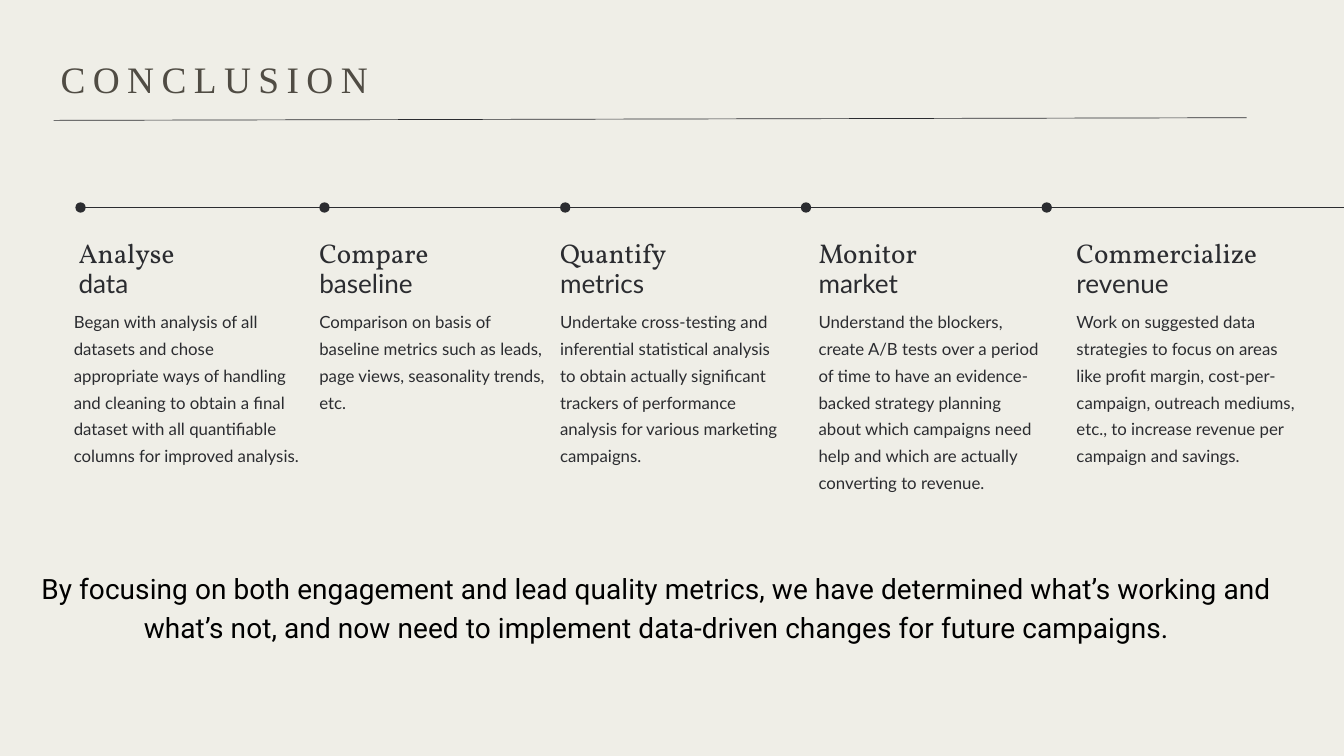
import pptx
import pptx.dml.color
import pptx.enum.shapes
import pptx.enum.text
import pptx.util
from lxml import etree

Cm, Pt = pptx.util.Cm, pptx.util.Pt
INK = "2B2C30"
SLIDE_WIDTH, SLIDE_HEIGHT = 50.8, 28.58
DOT_SIZE = 0.39

# Dot, heading and body lefts (cm), heading, subheading, body, body height (cm)
STEPS = [
    (2.85, 2.97, 2.79, "Analyse", "data",
     "Began with analysis of all datasets and chose appropriate ways of handling and "
     "cleaning to obtain a final dataset with all quantifiable columns for improved analysis.", 7.11),
    (12.07, 12.07, 12.07, "Compare", "baseline",
     "Comparison on basis of baseline metrics such as leads, page views, "
     "seasonality trends, etc.", 5.97),
    (21.17, 21.17, 21.17, "Quantify", "metrics",
     "Undertake cross-testing and inferential statistical analysis to obtain actually "
     "significant trackers of performance analysis for various marketing campaigns.", 6.96),
    (30.27, 30.94, 30.94, "Monitor", "market",
     "Understand the blockers, create A/B tests over a period of time to have an "
     "evidence-backed strategy planning about which campaigns need help and which are "
     "actually converting to revenue.", 7.98),
    (39.37, 40.69, 40.69, "Commercialize", "revenue",
     "Work on suggested data strategies to focus on areas like profit margin, "
     "cost-per-campaign, outreach mediums, etc., to increase revenue per campaign "
     "and savings.", 6.96),
]


def color(hex_string):
    return pptx.dml.color.RGBColor.from_string(hex_string)


def write(shape, text, font, size, leading, ink=INK, spacing=0,
          align=pptx.enum.text.PP_ALIGN.LEFT):
    frame = shape.text_frame
    frame.text = text
    frame.word_wrap = True
    frame.auto_size = pptx.enum.text.MSO_AUTO_SIZE.SHAPE_TO_FIT_TEXT
    frame.vertical_anchor = pptx.enum.text.MSO_ANCHOR.TOP
    frame.margin_left = frame.margin_top = frame.margin_right = frame.margin_bottom = 0
    paragraph = frame.paragraphs[0]
    paragraph.alignment = align
    paragraph.line_spacing = Pt(leading)
    paragraph.space_before = Pt(0)
    run = paragraph.runs[0]
    run.font.name = font
    run.font.size = Pt(size)
    run.font.color.rgb = color(ink)
    if spacing:
        run.font._element.set("spc", str(round(spacing * 100)))


def add_text(slide, box, *args, **kwargs):
    textbox = slide.shapes.add_textbox(*[Cm(length) for length in box])
    write(textbox, *args, **kwargs)


def add_line(slide, x1, y1, x2, y2):
    line = slide.shapes.add_connector(
        pptx.enum.shapes.MSO_CONNECTOR.STRAIGHT, Cm(x1), Cm(y1), Cm(x2), Cm(y2))
    line.line.color.rgb = color(INK)
    line.line.width = Pt(0.75)
    etree.SubElement(line._element.spPr, pptx.oxml.ns.qn("a:effectLst"))


def add_header(slide, left, top, width, height):
    """Title with a slightly rising rule below it."""
    title = slide.shapes.title
    title.left, title.top = Cm(left + 0.26), Cm(top)
    title.width, title.height = Cm(37.77), Cm(1.85)
    write(title, "CONCLUSION", "Times New Roman", 40, 56, ink="504C44", spacing=8)
    add_line(slide, left, top + height, left + width, top + height - 0.1)


def add_timeline(slide, top, right):
    """Dots on a line that runs off the right edge."""
    middle = top + DOT_SIZE / 2
    for dot_left, *_ in STEPS:
        dot = slide.shapes.add_shape(
            pptx.enum.shapes.MSO_SHAPE.OVAL, Cm(dot_left), Cm(top), Cm(DOT_SIZE), Cm(DOT_SIZE))
        dot.shadow.inherit = False
        dot.fill.solid()
        dot.fill.fore_color.rgb = color(INK)
        dot.line.fill.background()
    add_line(slide, STEPS[0][0] + 0.28, middle, right, middle)


def add_step(slide, top, step):
    """Heading, subheading and body of one step."""
    _, heading_left, body_left, heading, subheading, body, body_height = step
    add_text(slide, (heading_left, top, 7.75, 1.19), heading, "Vollkorn", 29, 34.8)
    add_text(slide, (heading_left, top + 1.17, 7.75, 1.19), subheading, "Lato", 28, 33.6)
    add_text(slide, (body_left, top + 2.59, 8.59, body_height), body, "Lato", 18, 28.8)


def add_takeaway(slide, left, top, width, height):
    add_text(slide, (left, top, width, height),
             "By focusing on both engagement and lead quality metrics, we have determined "
             "what’s working and what’s not, and now need to implement data-driven changes "
             "for future campaigns.",
             "Roboto", 30, 42, ink="000000", spacing=0.1,
             align=pptx.enum.text.PP_ALIGN.CENTER)


def main():
    deck = pptx.Presentation()
    deck.slide_width, deck.slide_height = Cm(SLIDE_WIDTH), Cm(SLIDE_HEIGHT)
    slide = deck.slides.add_slide(deck.slide_layouts[5])
    slide.background.fill.solid()
    slide.background.fill.fore_color.rgb = color("EFEEE7")

    add_header(slide, 2.03, 1.83, 45.09, 2.72)
    add_timeline(slide, 7.65, SLIDE_WIDTH)
    for step in STEPS:
        add_step(slide, 8.94, step)
    add_takeaway(slide, 0, 21.39, 49.68, 2.97)

    deck.save("out.pptx")


if __name__ == "__main__":
    main()
